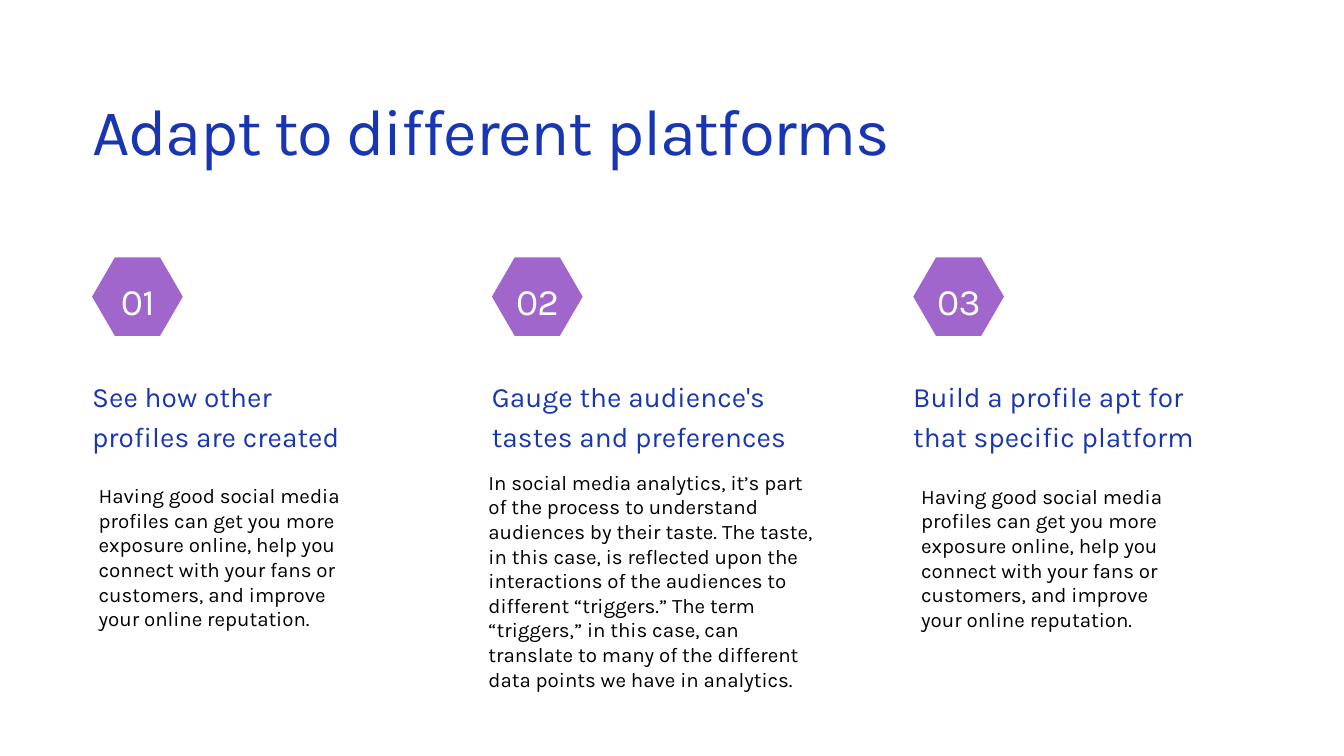
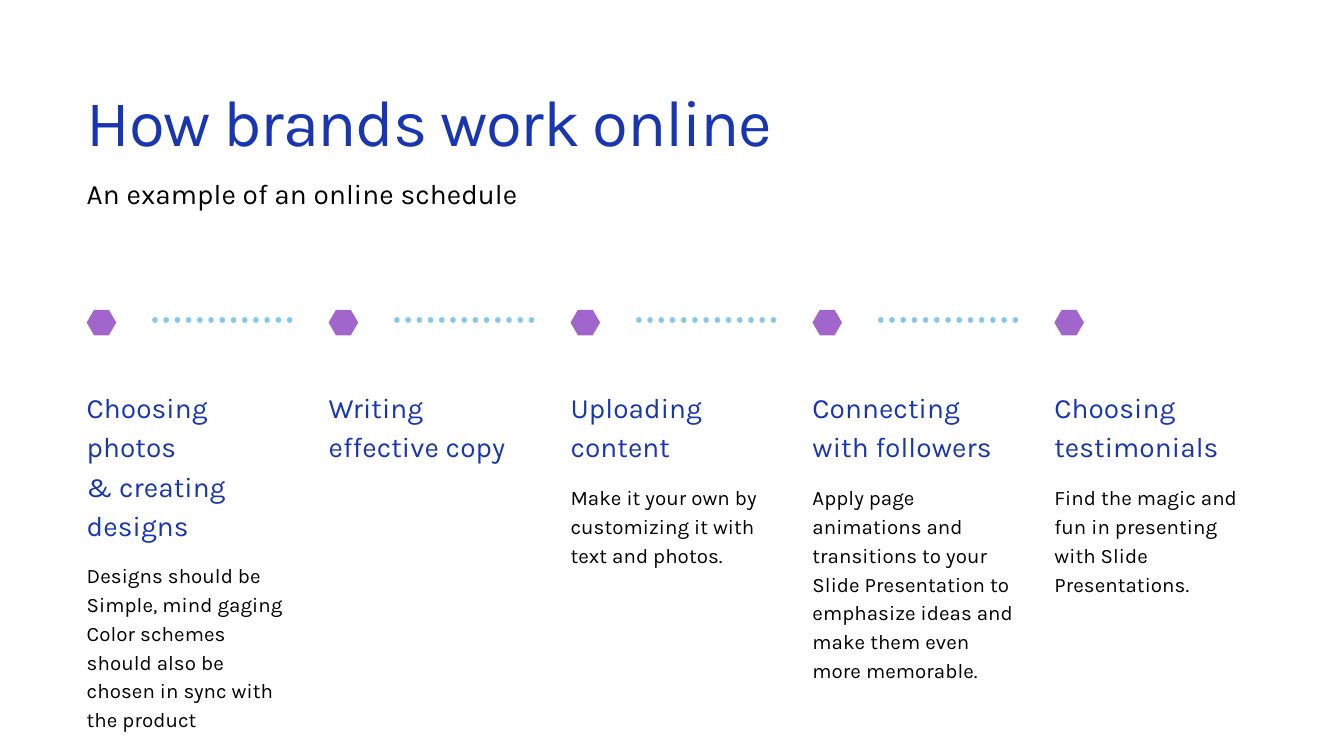
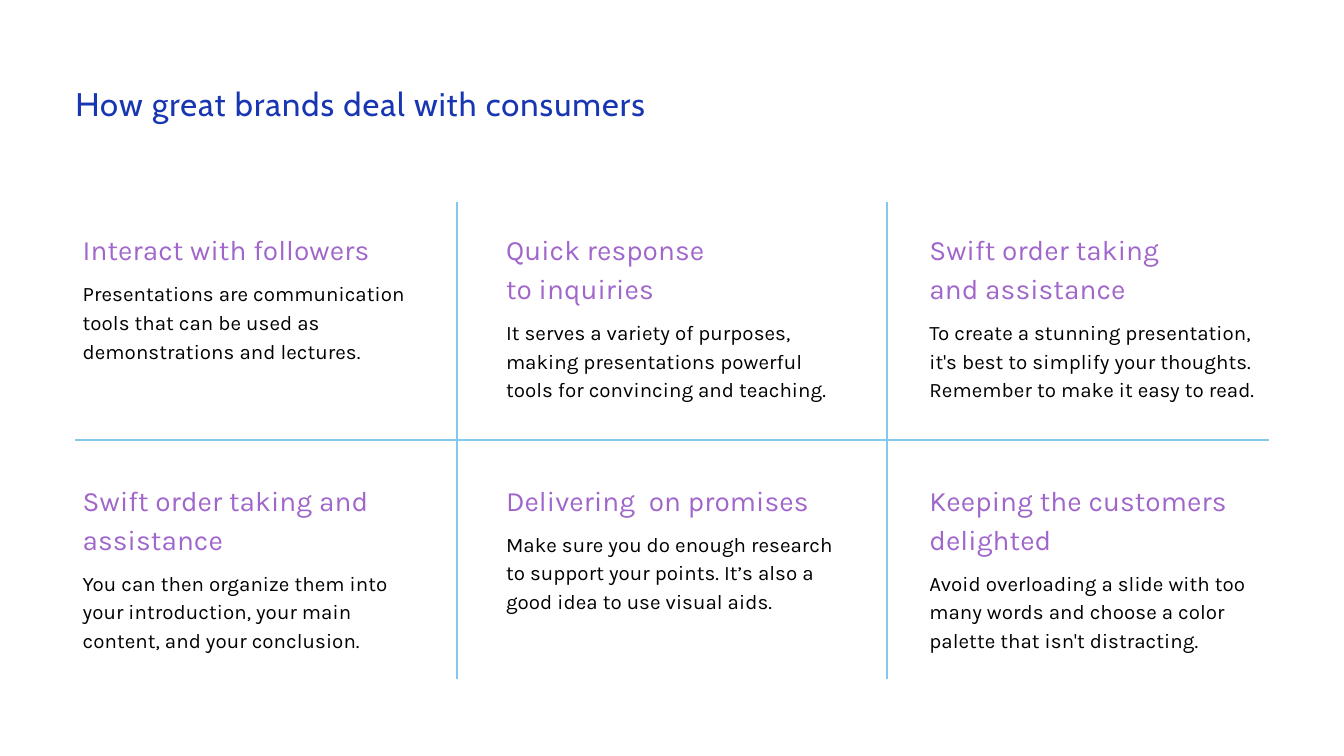
from pptx import Presentation
from pptx.dml.color import RGBColor
from pptx.enum.dml import MSO_LINE
from pptx.enum.shapes import MSO_CONNECTOR, MSO_SHAPE
from pptx.enum.text import PP_ALIGN
from pptx.util import Inches, Pt
from lxml import etree

BLUE = RGBColor(0x18, 0x36, 0xB2)
PURPLE = RGBColor(0xA0, 0x66, 0xCB)
SKY = RGBColor(0x86, 0xC7, 0xED)
BLACK = RGBColor(0, 0, 0)
WHITE = RGBColor(255, 255, 255)

# Text styles: size, line spacing in points, letter spacing in 1/100 pt, font
TITLE = (70, 98, -140, "Karla")
SMALL_TITLE = (35, 42, 110, "Cabin")
HEADING = (30, 42, 10, "Karla")
BODY = (22, 30.8, 10, "Karla")
COMPACT = (22, None, 0, "Karla")
NUMBER = (40, 56, -80, "Karla")
HEADING_LINE = 0.58


def write(slide, text, left, top, width, height, style, color,
          align=PP_ALIGN.LEFT, inset=(0, 0)):
    size, leading, tracking, font_name = style
    frame = slide.shapes.add_textbox(
        Inches(left), Inches(top), Inches(width), Inches(height)).text_frame
    frame.word_wrap = True
    frame.margin_left = frame.margin_right = Inches(inset[0])
    frame.margin_top = frame.margin_bottom = Inches(inset[1])
    frame.text = text
    for paragraph in frame.paragraphs:
        paragraph.alignment = align
        if leading:
            paragraph.line_spacing = Pt(leading)
        paragraph.font.size = Pt(size)
        paragraph.font.name = font_name
        paragraph.font.color.rgb = color
        for run in paragraph.runs:
            run._r.get_or_add_rPr().set("spc", str(tracking))


def draw_line(slide, x1, y1, x2, y2, weight):
    line = slide.shapes.add_connector(
        MSO_CONNECTOR.STRAIGHT, Inches(x1), Inches(y1), Inches(x2), Inches(y2))
    line.line.color.rgb = SKY
    line.line.width = Pt(weight)
    properties = line._element.spPr
    etree.SubElement(properties, properties.tag.split("}")[0].replace(
        "presentationml", "drawingml") + "}effectLst")
    return line


prs = Presentation()
prs.slide_width, prs.slide_height = Inches(20), Inches(11.25)
platforms, schedule, consumers = [
    prs.slides.add_slide(prs.slide_layouts[6]) for _ in range(3)]

# Hexagon markers of the first two slides
markers = [(platforms, left, 3.83, 1.35, 1.17) for left in (1.37, 7.32, 13.59)]
markers += [(schedule, 1.29 + 3.6 * i, 4.61, 0.44, 0.38) for i in range(5)]
for slide, left, top, width, height in markers:
    hexagon = slide.shapes.add_shape(
        MSO_SHAPE.HEXAGON, Inches(left), Inches(top), Inches(width), Inches(height))
    hexagon.adjustments[0] = 0.29
    hexagon.shadow.inherit = False
    hexagon.fill.solid()
    hexagon.fill.fore_color.rgb = PURPLE
    hexagon.line.fill.background()

# Slide 1: three numbered columns
write(platforms, "Adapt to different platforms", 1.37, 1.15, 14.82, 1.31, TITLE, BLUE)
reputation = ("Having good social media profiles can get you more exposure online, "
              "help you connect with your fans or customers, and improve your "
              "online reputation.")
audience = ("In social media analytics, it’s part of the process to understand "
            "audiences by their taste. The taste, in this case, is reflected upon the "
            "interactions of the audiences to different “triggers.” The term "
            "“triggers,” in this case, can translate to many of the different data "
            "points we have in analytics.")
steps = [
    (1.37, "See how other\nprofiles are created", reputation, (1.37, 7.14, 3.96, 2.32)),
    (7.32, "Gauge the audience's tastes and preferences", audience,
     (7.17, 6.94, 5.08, 3.43)),
    (13.59, "Build a profile apt for that specific platform", reputation,
     (13.61, 7.15, 3.96, 2.32)),
]
for number, (left, heading, body, body_box) in enumerate(steps, 1):
    write(platforms, f"{number:02d}", left + 0.3, 4.03, 0.76, 0.72, NUMBER, WHITE,
          PP_ALIGN.CENTER)
    write(platforms, heading, left, 5.57, 4.54, 1.14, HEADING, BLUE)
    write(platforms, body, *body_box, COMPACT, BLACK, inset=(0.1, 0.05))

# Slide 2: five stages joined by dotted lines
write(schedule, "How brands work online", 1.29, 1.02, 12.19, 1.27, TITLE, BLUE)
write(schedule, "An example of an online schedule", 1.29, 2.54, 12.19, 0.55,
      HEADING, BLACK)
stages = [
    ("Choosing photos\n& creating designs", 4,
     "Designs should be Simple, mind gaging\n"
     "Color schemes should also be chosen in sync with the product", 2.61),
    ("Writing\neffective copy", 2, "", 0),
    ("Uploading\ncontent", 2,
     "Make it your own by customizing it with text and photos.", 1.26),
    ("Connecting\nwith followers", 2,
     "Apply page animations and transitions to your Slide Presentation to "
     "emphasize ideas and make them even more memorable.", 2.97),
    ("Choosing testimonials", 2,
     "Find the magic and fun in presenting with Slide Presentations.", 1.69),
]
for i, (heading, lines, body, body_height) in enumerate(stages):
    left = 1.29 + 3.6 * i
    heading_height = HEADING_LINE * lines
    write(schedule, heading, left, 5.73, 3.02, heading_height, HEADING, BLUE)
    if body:
        write(schedule, body, left, 5.73 + heading_height + 0.27, 3.02, body_height,
              BODY, BLACK)
    if i < len(stages) - 1:
        dots = draw_line(schedule, left + 3.02, 4.76, left + 1.01, 4.76, 6)
        dots.line.dash_style = MSO_LINE.ROUND_DOT
        dots.line._get_or_add_ln().set("cap", "rnd")

# Slide 3: grid of three columns and two rows
draw_line(consumers, 18.88, 6.55, 1.12, 6.55, 2.25)
for x in (6.8, 13.2):
    draw_line(consumers, x, 3, x, 10.11, 2.25)
write(consumers, "How great brands deal with consumers", 1.12, 1.25, 11.41, 0.59,
      SMALL_TITLE, BLUE)
practices = [
    ("Interact with followers", 1,
     "Presentations are communication tools that can be used as demonstrations "
     "and lectures."),
    ("Quick response\nto inquiries", 2,
     "It serves a variety of purposes,\n"
     "making presentations powerful tools for convincing and teaching."),
    ("Swift order taking\nand assistance", 2,
     "To create a stunning presentation,\n"
     "it's best to simplify your thoughts. Remember to make it easy to read."),
    ("Swift order taking and assistance", 2,
     "You can then organize them into your introduction, your main content, and "
     "your conclusion."),
    ("Delivering  on promises", 1,
     "Make sure you do enough research to support your points. It’s also a good "
     "idea to use visual aids."),
    ("Keeping the customers delighted", 2,
     "Avoid overloading a slide with too many words and choose a color palette "
     "that isn't distracting."),
]
for i, (heading, lines, body) in enumerate(practices):
    row, column = divmod(i, 3)
    left, top = 1.23 + 6.3 * column, 3.38 + 3.73 * row
    heading_height = HEADING_LINE * lines
    write(consumers, heading, left, top, 4.95, heading_height, HEADING, PURPLE)
    write(consumers, body, left, top + heading_height + 0.16, 4.95, 1.26, BODY, BLACK)

prs.save("out.pptx")
